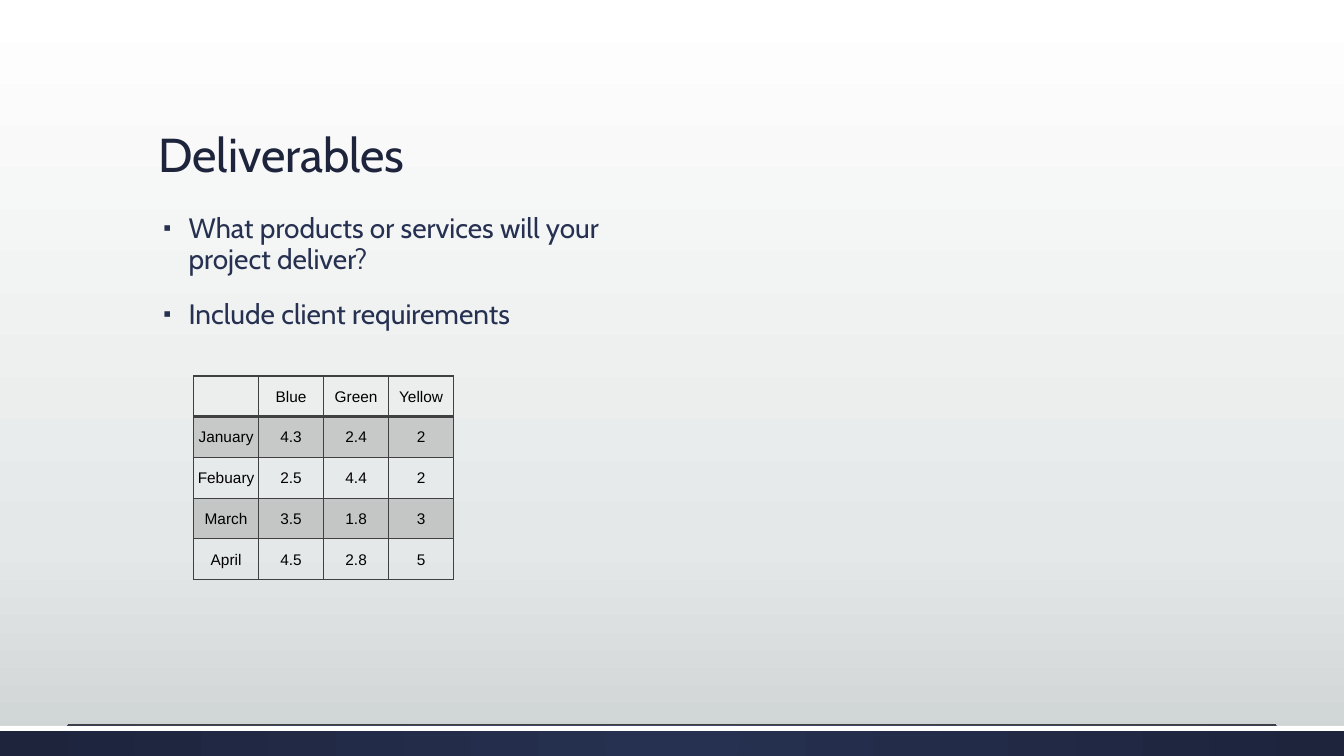
from pptx import Presentation
from pptx.dml.color import RGBColor
from pptx.enum.shapes import MSO_CONNECTOR as CONNECTOR, MSO_SHAPE as SHAPE
from pptx.enum.text import MSO_ANCHOR as ANCHOR, MSO_AUTO_SIZE as AUTO_SIZE, PP_ALIGN as ALIGN
from pptx.oxml import parse_xml
from pptx.oxml.ns import nsdecls, qn
from pptx.util import Inches, Pt

NAVY, DARK_NAVY, GRAY = "263050", "1D243C", "404040"
DELIVERABLES = [
    "What products or services will your project deliver?",
    "Include client requirements",
]
MONTHLY_FIGURES = [
    ["", "Blue", "Green", "Yellow"],
    ["January", "4.3", "2.4", "2"],
    ["Febuary", "2.5", "4.4", "2"],
    ["March", "3.5", "1.8", "3"],
    ["April", "4.5", "2.8", "5"],
]


def color(hex_value):
    return RGBColor.from_string(hex_value)


def box(left, top, width, height):
    return [Inches(value) for value in (left, top, width, height)]


def set_gradient(solid_fill, stops, direction):
    """Swap a solid fill element for a gradient one."""
    marks = "".join(
        f'<a:gs pos="{position * 1000}"><a:srgbClr val="{hex_value}"/></a:gs>'
        for position, hex_value in stops)
    gradient = parse_xml(f'<a:gradFill {nsdecls("a")} rotWithShape="1">'
                         f'<a:gsLst>{marks}</a:gsLst>{direction}</a:gradFill>')
    solid_fill.getparent().replace(solid_fill, gradient)


def set_background(slide):
    slide.background.fill.solid()
    set_gradient(slide.element.find(".//" + qn("a:solidFill")),
                 [(0, "FFFFFF"), (72, "E5E8E8"), (100, "CDD2D2")],
                 '<a:lin ang="5400000" scaled="0"/>')


def add_band(slide, height, hex_value):
    band = slide.shapes.add_shape(SHAPE.RECTANGLE, *box(0, 7.2, 13.33, height))
    band.shadow.inherit = False
    band.line.fill.background()
    band.fill.solid()
    band.fill.fore_color.rgb = color(hex_value)
    return band


def add_footer(slide):
    navy_band = add_band(slide, 0.3, NAVY)
    set_gradient(navy_band.element.spPr.find(qn("a:solidFill")),
                 [(0, NAVY), (100, DARK_NAVY)],
                 '<a:path path="circle"><a:fillToRect l="50000" t="50000" '
                 'r="50000" b="50000"/></a:path>')
    add_band(slide, 0.05, "FFFFFF")
    rule = slide.shapes.add_connector(
        CONNECTOR.STRAIGHT, Inches(0.67), Inches(7.19), Inches(12.66), Inches(7.19))
    rule.line.color.rgb = color(GRAY)
    rule.line.width = Pt(0.75)
    rule.element.spPr.append(parse_xml(f'<a:effectLst {nsdecls("a")}/>'))


def add_run(paragraph, text, size, font, hex_value):
    run = paragraph.add_run()
    run.text = text
    run.font.size = Pt(size)
    run.font.name = font
    run.font.color.rgb = color(hex_value)


def place(placeholder, bounds, anchor):
    placeholder.left, placeholder.top, placeholder.width, placeholder.height = box(*bounds)
    frame = placeholder.text_frame
    frame.word_wrap = True
    frame.auto_size = AUTO_SIZE.NONE
    frame.vertical_anchor = anchor
    return frame


def fill_title(title, text):
    heading = place(title, (1.47, 0.51, 10.4, 1.35), ANCHOR.BOTTOM).paragraphs[0]
    heading.alignment = ALIGN.LEFT
    heading.line_spacing = 0.9
    add_run(heading, text, 34, "Cabin", DARK_NAVY)


def set_bullet(paragraph):
    properties = paragraph._p.get_or_add_pPr()
    properties.set("marL", str(Inches(0.3)))
    properties.set("indent", str(Inches(-0.25)))
    for bullet_part in (f'<a:buClr {nsdecls("a")}><a:srgbClr val="{NAVY}"/></a:buClr>',
                        f'<a:buSzPct {nsdecls("a")} val="80000"/>',
                        f'<a:buFont {nsdecls("a")} typeface="Arial"/>',
                        f'<a:buChar {nsdecls("a")} char="▪"/>'):
        properties.append(parse_xml(bullet_part))


def fill_list(body, items):
    frame = place(body, (1.47, 2.08, 5, 4.51), ANCHOR.TOP)
    for index, item in enumerate(items):
        paragraph = frame.add_paragraph() if index else frame.paragraphs[0]
        paragraph.line_spacing = 0.9
        paragraph.space_before = Pt(18)
        set_bullet(paragraph)
        add_run(paragraph, item, 20, "Cabin", NAVY)


def set_borders(cell, bottom_width):
    properties = cell._tc.get_or_add_tcPr()
    widths = {"lnL": 1, "lnR": 1, "lnT": 1, "lnB": bottom_width}
    for position, (side, width) in enumerate(widths.items()):
        properties.insert(position, parse_xml(
            f'<a:{side} {nsdecls("a")} w="{Pt(width)}"><a:solidFill>'
            f'<a:srgbClr val="{GRAY}"/></a:solidFill></a:{side}>'))


def shade(cell):
    cell.fill.solid()
    cell.fill.fore_color.rgb = color(GRAY)
    tint = cell._tc.tcPr.find(qn("a:solidFill")).find(qn("a:srgbClr"))
    tint.append(parse_xml(f'<a:alpha {nsdecls("a")} val="20000"/>'))


def fill_cell(cell, text, row):
    cell.margin_left = cell.margin_right = cell.margin_top = Inches(0.01)
    cell.margin_bottom = 0
    cell.vertical_anchor = ANCHOR.MIDDLE
    if row % 2:
        shade(cell)
    else:
        cell.fill.background()
    set_borders(cell, 1 if row else 2)
    if text:
        paragraph = cell.text_frame.paragraphs[0]
        paragraph.alignment = ALIGN.CENTER
        add_run(paragraph, text, 11, "Arial", "000000")


def add_figures_table(slide, rows):
    table = slide.shapes.add_table(
        len(rows), len(rows[0]), *box(1.92, 3.73, 2.58, 2.02)).table
    table.first_row = table.horz_banding = False
    for row, values in enumerate(rows):
        for column, text in enumerate(values):
            fill_cell(table.cell(row, column), text, row)


def main():
    presentation = Presentation()
    presentation.slide_width = Inches(13.33)
    presentation.slide_height = Inches(7.5)
    slide = presentation.slides.add_slide(presentation.slide_layouts[1])

    # Backdrop and footer bands
    set_background(slide)
    add_footer(slide)

    # Title, list and table
    fill_title(slide.shapes.title, "Deliverables")
    fill_list(slide.placeholders[1], DELIVERABLES)
    add_figures_table(slide, MONTHLY_FIGURES)

    presentation.save("out.pptx")


if __name__ == "__main__":
    main()
